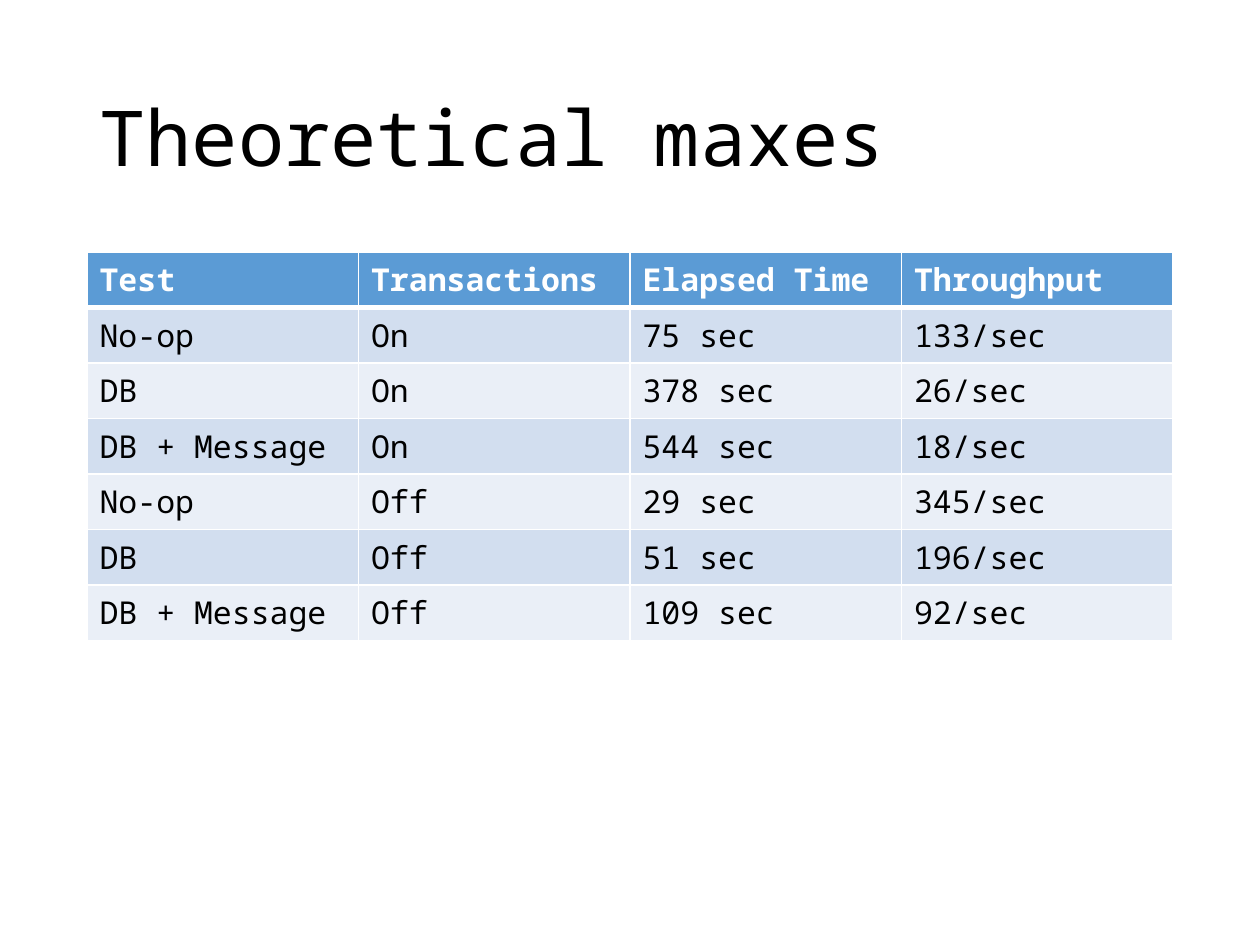
"""Build the slide of theoretical maximum throughput."""
import dataclasses

import pptx
import pptx.dml.color
import pptx.enum.text
import pptx.oxml.ns
import pptx.util
from lxml import etree

Inches = pptx.util.Inches


@dataclasses.dataclass(frozen=True)
class Theme:
    font: str = "Noto Sans Mono"
    title_size: int = 44
    table_size: int = 18
    dark: str = "000000"
    light: str = "FFFFFF"
    header_fill: str = "5B9BD5"
    band_fills: tuple[str, str] = ("D2DEEF", "EAEFF7")
    border_width: int = 1
    header_rule_width: int = 3


@dataclasses.dataclass(frozen=True)
class Result:
    test: str
    transactions: str
    elapsed: str
    throughput: str


THEME = Theme()
HEADINGS = Result("Test", "Transactions", "Elapsed Time", "Throughput")
RESULTS = (
    Result("No-op", "On", "75 sec", "133/sec"),
    Result("DB", "On", "378 sec", "26/sec"),
    Result("DB + Message", "On", "544 sec", "18/sec"),
    Result("No-op", "Off", "29 sec", "345/sec"),
    Result("DB", "Off", "51 sec", "196/sec"),
    Result("DB + Message", "Off", "109 sec", "92/sec"),
)
LEFT, WIDTH = 0.69, 8.62
TABLE_TOP, ROW_HEIGHT = 2, 0.41


def add_text(paragraph, text: str, size: int, color: str, bold: bool = False) -> None:
    run = paragraph.add_run()
    run.text = text
    run.font.name = THEME.font
    run.font.size = pptx.util.Pt(size)
    run.font.bold = bold
    run.font.color.rgb = pptx.dml.color.RGBColor.from_string(color)


def set_borders(cell, top: int, bottom: int) -> None:
    properties = cell._tc.get_or_add_tcPr()
    qualified = pptx.oxml.ns.qn
    widths = {"L": THEME.border_width, "R": THEME.border_width, "T": top, "B": bottom}
    for side, width in widths.items():
        line = etree.SubElement(
            properties, qualified(f"a:ln{side}"), w=str(int(pptx.util.Pt(width)))
        )
        fill = etree.SubElement(line, qualified("a:solidFill"))
        etree.SubElement(fill, qualified("a:srgbClr"), val=THEME.light)


def add_title(slide, text: str) -> None:
    title = slide.shapes.title
    title.left, title.top = Inches(LEFT), Inches(0.4)
    title.width, title.height = Inches(WIDTH), Inches(1.45)
    title.text_frame.vertical_anchor = pptx.enum.text.MSO_ANCHOR.MIDDLE
    paragraph = title.text_frame.paragraphs[0]
    paragraph.alignment = pptx.enum.text.PP_ALIGN.LEFT
    paragraph.line_spacing = 0.9
    add_text(paragraph, text, THEME.title_size, THEME.dark)


def fill_cell(cell, text: str, row: int) -> None:
    header = row == 0
    rule, thin = THEME.header_rule_width, THEME.border_width
    set_borders(cell, rule if row == 1 else thin, rule if header else thin)
    cell.fill.solid()
    cell.fill.fore_color.rgb = pptx.dml.color.RGBColor.from_string(
        THEME.header_fill if header else THEME.band_fills[(row - 1) % 2]
    )
    color = THEME.light if header else THEME.dark
    add_text(cell.text_frame.paragraphs[0], text, THEME.table_size, color, header)


def add_results(slide) -> None:
    records = [dataclasses.astuple(record) for record in (HEADINGS, *RESULTS)]
    table = slide.shapes.add_table(
        len(records), len(records[0]), Inches(LEFT), Inches(TABLE_TOP),
        Inches(WIDTH), Inches(ROW_HEIGHT * len(records)),
    ).table
    for row, record in enumerate(records):
        for column, text in enumerate(record):
            fill_cell(table.cell(row, column), text, row)


def main() -> None:
    presentation = pptx.Presentation()
    presentation.slide_width, presentation.slide_height = Inches(10), Inches(7.5)
    slide = presentation.slides.add_slide(presentation.slide_layouts[5])
    add_title(slide, "Theoretical maxes")
    add_results(slide)
    presentation.save("out.pptx")


main()
